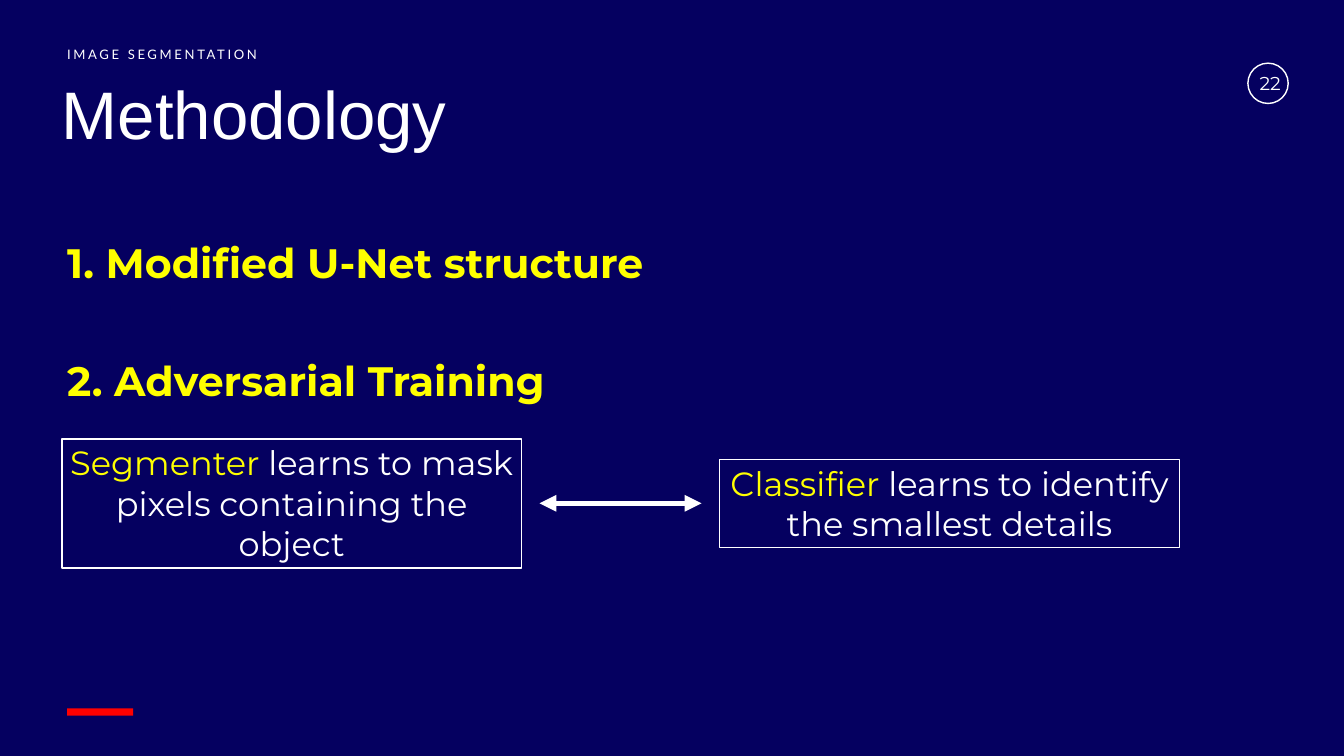
from lxml import etree
from pptx import Presentation
from pptx.dml.color import RGBColor
from pptx.enum.shapes import MSO_CONNECTOR, MSO_SHAPE
from pptx.enum.text import MSO_ANCHOR, MSO_AUTO_SIZE, PP_ALIGN
from pptx.oxml.ns import qn
from pptx.util import Inches, Pt

NAVY, WHITE, YELLOW, RED = "050060", "FFFFFF", "FFFF00", "FF0000"


def rgb(value):
    return RGBColor.from_string(value)


def write(sp, *runs, size, font="Montserrat", bold=False, align=PP_ALIGN.LEFT,
          anchor=MSO_ANCHOR.TOP, leading=None, tracking=None,
          margins=(0, 0), grow=True):
    """Fill a shape with one paragraph of (text, colour) runs."""
    tf = sp.text_frame
    tf.word_wrap = True
    tf.auto_size = MSO_AUTO_SIZE.SHAPE_TO_FIT_TEXT if grow else MSO_AUTO_SIZE.NONE
    tf.vertical_anchor = anchor
    tf.margin_left = tf.margin_right = Inches(margins[0])
    tf.margin_top = tf.margin_bottom = Inches(margins[1])
    p = tf.paragraphs[0]
    p.alignment = align
    p.line_spacing = leading
    for text, color in runs:
        r = p.add_run()
        r.text = text
        r.font.name, r.font.size, r.font.bold = font, Pt(size), bold
        r.font.color.rgb = rgb(color)
        if tracking:
            r.font._element.set("spc", str(int(tracking * 100)))


prs = Presentation()
prs.slide_width, prs.slide_height = Inches(20), Inches(11.25)
s = prs.slides.add_slide(prs.slide_layouts[6])
s.background.fill.solid()
s.background.fill.fore_color.rgb = rgb(NAVY)
shapes = s.shapes

# Footer accent
accent = shapes.add_shape(MSO_SHAPE.RECTANGLE, Inches(1), Inches(10.54),
                          Inches(0.98), Inches(0.11))
accent.shadow.inherit = False
accent.fill.solid()
accent.fill.fore_color.rgb = rgb(RED)
accent.line.fill.background()

# Title and section label
title = shapes.add_textbox(Inches(0.92), Inches(1.18), Inches(17.69), Inches(1.13))
write(title, ("Methodology", WHITE), size=72, font="Arial", leading=Pt(79.2))
section = shapes.add_textbox(Inches(1), Inches(0.66), Inches(3.12), Inches(0.26))
write(section, ("IMAGE SEGMENTATION", WHITE), size=14, font="Lato",
      leading=Pt(19.6), tracking=2.8)

# Page number in a ring
ring = shapes.add_shape(MSO_SHAPE.OVAL, Inches(18.57), Inches(0.94),
                        Inches(0.6), Inches(0.6))
ring.shadow.inherit = False
ring.fill.background()
ring.line.color.rgb = rgb(WHITE)
ring.line.width = Pt(1.5)
number = shapes.add_textbox(Inches(14.63), Inches(0.94), Inches(4.5), Inches(0.6))
write(number, ("22", WHITE), size=20, align=PP_ALIGN.RIGHT,
      anchor=MSO_ANCHOR.MIDDLE, margins=(0.07, 0.04), grow=False)

# Numbered headings
for text, top, width in (("1. Modified U-Net structure", 2.8, 15.11),
                         ("2. Adversarial Training", 4.55, 8.9)):
    heading = shapes.add_textbox(Inches(1), Inches(top), Inches(width), Inches(1.26))
    write(heading, (text, YELLOW), size=44, bold=True, leading=2.0)

# The two adversaries, centred on one axis
AXIS = 7.49
for role, task, left, height in (
        ("Segmenter", " learns to mask pixels containing the object", 0.92, 1.92),
        ("Classifier", " learns to identify the smallest details", 10.71, 1.31)):
    box = shapes.add_shape(MSO_SHAPE.RECTANGLE, Inches(left),
                           Inches(AXIS - height / 2), Inches(6.84), Inches(height))
    box.shadow.inherit = False
    box.fill.background()
    box.line.color.rgb = rgb(WHITE)
    box.line.width = Pt(1.5)
    write(box, (role, YELLOW), (task, WHITE), size=36, align=PP_ALIGN.CENTER,
          margins=(0.1, 0.05))

arrow = shapes.add_connector(MSO_CONNECTOR.STRAIGHT, Inches(8.03), Inches(AXIS),
                             Inches(10.44), Inches(AXIS))
arrow.line.color.rgb = rgb(WHITE)
arrow.line.width = Pt(6)
for end in ("a:headEnd", "a:tailEnd"):
    etree.SubElement(arrow.line._get_or_add_ln(), qn(end), type="triangle")
etree.SubElement(arrow._element.spPr, qn("a:effectLst"))

prs.save("out.pptx")
